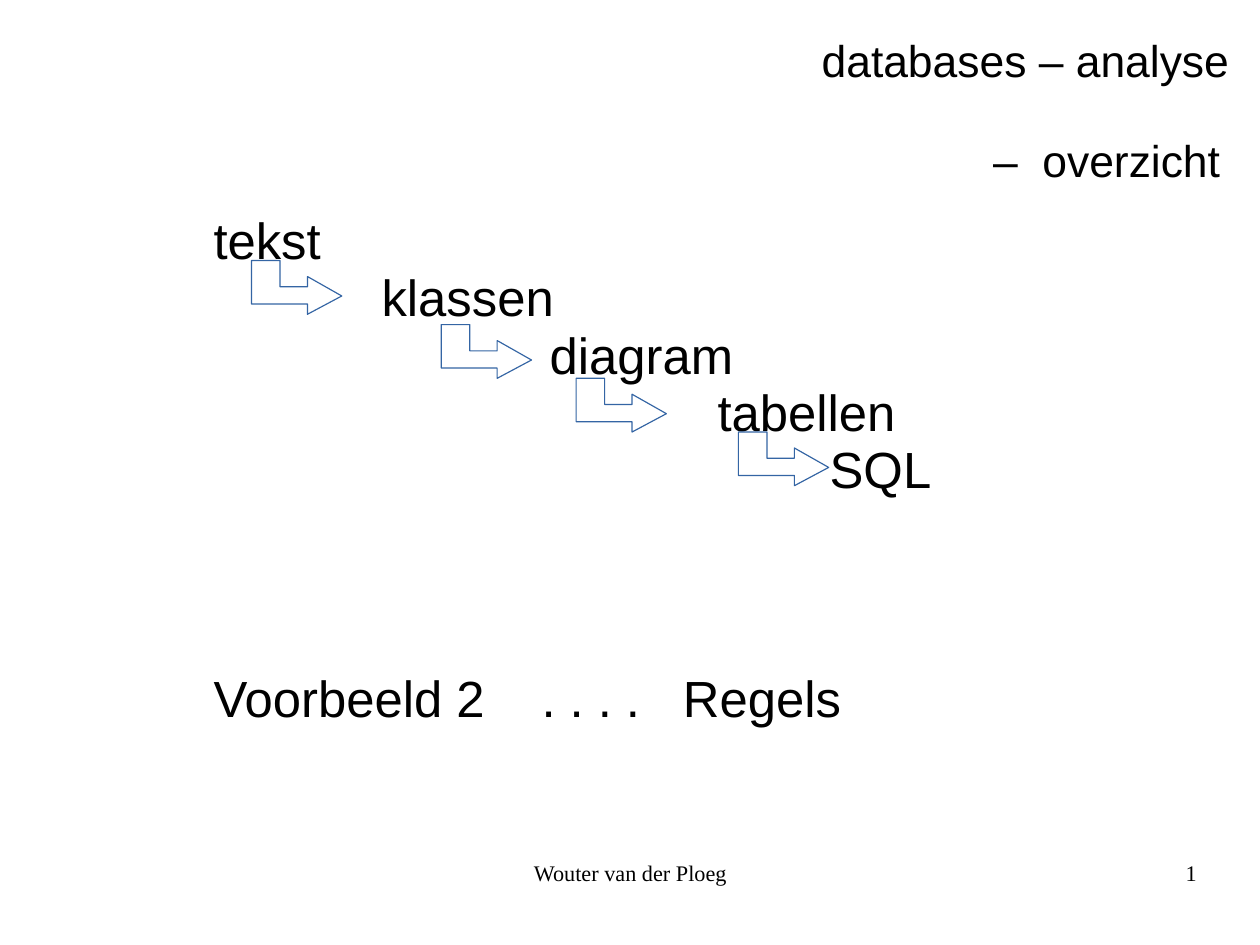
from dataclasses import dataclass

import pptx
import pptx.dml.color
import pptx.enum.text
import pptx.slide
import pptx.util

Inches = pptx.util.Inches
Pt = pptx.util.Pt
ALIGN = pptx.enum.text.PP_ALIGN
COLORS = {"text": "000000", "fill": "FFFFFF", "line": "3465A4"}
STEP = 0.49
ARROW = [(0, 0), (0, 0.38), (0.49, 0.38), (0.49, 0.47), (0.79, 0.31),
         (0.49, 0.14), (0.49, 0.23), (0.25, 0.23), (0.25, 0)]
SPOTS = [(2.2, 2.28), (3.86, 2.84), (5.04, 3.31), (6.46, 3.78)]


@dataclass
class Part:
    text: str
    gap: float = 0


@dataclass
class Line:
    text: str
    indent: float = 0
    before: float = 0
    tail: tuple[Part, ...] = ()


@dataclass
class Box:
    left: float
    top: float
    width: float
    height: float
    lines: list[Line]
    size: float
    font: str = "Arial"
    inset: tuple[float, float] = (0.1, 0.08)
    spacing: float = 0.94
    align: ALIGN = ALIGN.LEFT


RULES = (Part(" ", 26.7), Part(". . . ."), Part(" ", 17.8), Part("Regels"))
BOXES = [
    Box(7.09, 0.25, 3.9, 1.4, [
        Line("databases – analyse"),
        Line("–  overzicht", indent=1.5, before=31.5),
    ], 28),
    Box(1.77, 1.79, 6.5, 4.59, [
        Line("tekst"),
        Line("klassen", 3 * STEP),
        Line("diagram", 6 * STEP),
        Line("tabellen", 9 * STEP),
        Line("SQL", 11 * STEP),
        Line("Voorbeeld 2", before=108, tail=RULES),
    ], 32),
    Box(3.77, 7.54, 3.49, 0.57, [Line("Wouter van der Ploeg")], 14,
        "Times New Roman", (0, 0), 0.93, ALIGN.CENTER),
    Box(7.9, 7.54, 2.57, 0.57, [Line("1")], 14,
        "Times New Roman", (0, 0), 0.93, ALIGN.RIGHT),
]


def color(name: str) -> pptx.dml.color.RGBColor:
    return pptx.dml.color.RGBColor.from_string(COLORS[name])


def add_box(slide: pptx.slide.Slide, box: Box) -> None:
    shape = slide.shapes.add_textbox(
        Inches(box.left), Inches(box.top), Inches(box.width), Inches(box.height))
    frame = shape.text_frame
    frame.word_wrap = True
    side, top = box.inset
    frame.margin_left = frame.margin_right = Inches(side)
    frame.margin_top = Inches(top)
    frame.margin_bottom = Inches(min(top, 0.05))
    frame.text = "\n".join(line.text for line in box.lines)
    for para, line in zip(frame.paragraphs, box.lines):
        para.alignment = box.align
        para.line_spacing = box.spacing
        para.space_before = Pt(line.before)
        props = para._p.get_or_add_pPr()
        props.set("marL", str(Inches(line.indent)))
        props.set("indent", "0")
        for part in line.tail:
            run = para.add_run()
            run.text = part.text
            if part.gap:
                run._r.get_or_add_rPr().set("spc", str(round(part.gap * 100)))
        for run in para.runs:
            run.font.name = box.font
            run.font.size = Pt(box.size)
            run.font.color.rgb = color("text")


def add_arrow(slide: pptx.slide.Slide, left: float, top: float) -> None:
    points = [(Inches(left + x), Inches(top + y)) for x, y in ARROW]
    pen = slide.shapes.build_freeform(*points[0])
    pen.add_line_segments(points[1:], close=True)
    shape = pen.convert_to_shape()
    shape.shadow.inherit = False
    shape.fill.solid()
    shape.fill.fore_color.rgb = color("fill")
    shape.line.color.rgb = color("line")
    shape.line.width = Pt(0.75)


def main() -> None:
    deck = pptx.Presentation()
    deck.slide_width = Inches(28 / 2.54)
    deck.slide_height = Inches(21 / 2.54)
    slide = deck.slides.add_slide(deck.slide_layouts[6])
    for box in BOXES:
        add_box(slide, box)
    for left, top in SPOTS:
        add_arrow(slide, left, top)
    deck.save("out.pptx")


if __name__ == "__main__":
    main()
